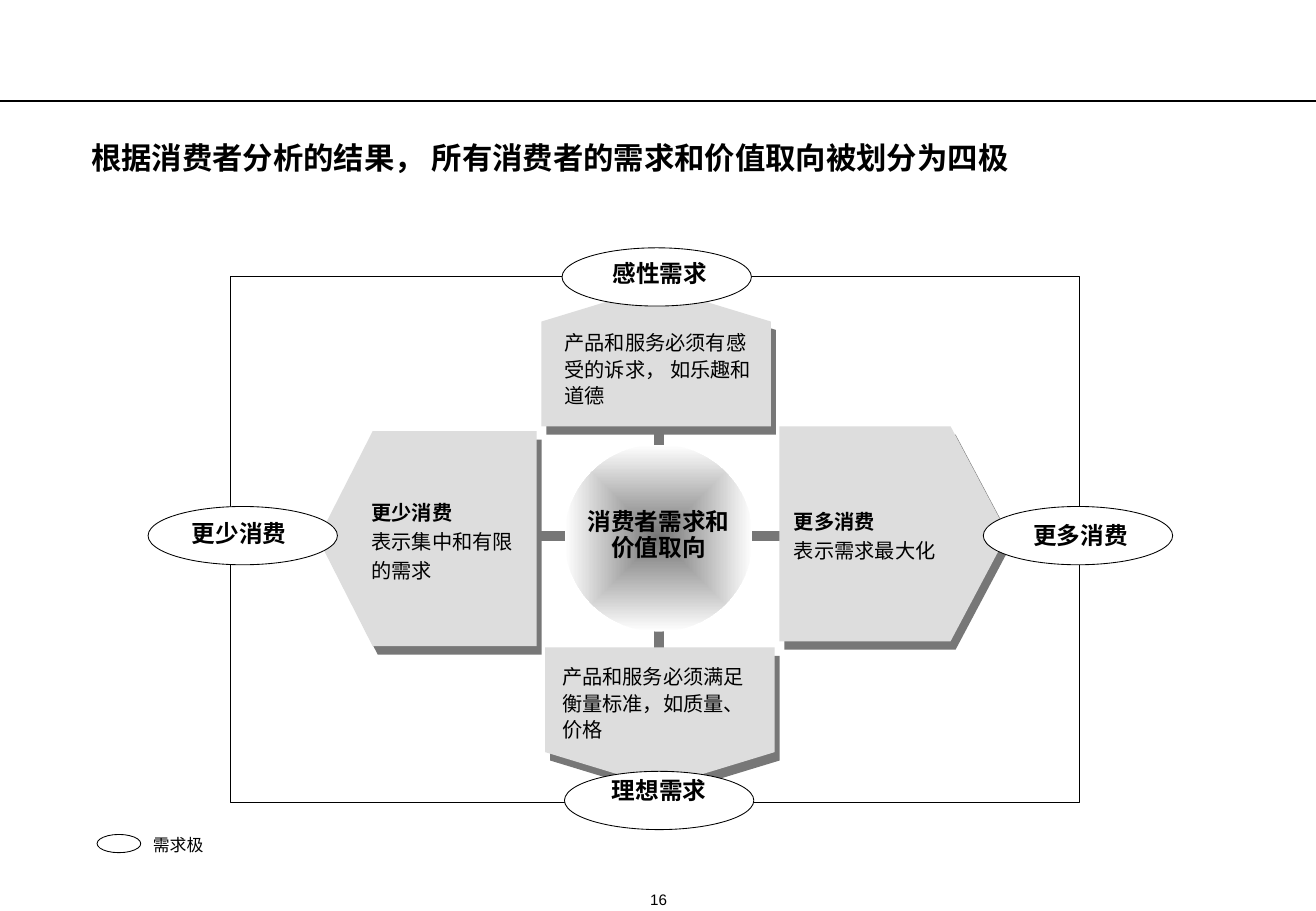
from lxml import etree
from pptx import Presentation
from pptx.dml.color import RGBColor
from pptx.enum import shapes, text
from pptx.oxml import ns
from pptx.util import Inches, Pt

BLACK = RGBColor(0x00, 0x00, 0x00)
WHITE = RGBColor(0xFF, 0xFF, 0xFF)
ARROW_GREY = RGBColor(0xDD, 0xDD, 0xDD)
SHADOW_GREY = RGBColor(0x77, 0x77, 0x77)
HUB_GREY = RGBColor(0x75, 0x75, 0x75)

OVAL_SIZE = (1.56, 0.48)

# Unit outline of an arrow pointing right, and how each direction turns it
ARROW_OUTLINE = [(0, 0), (0.75, 0), (1, 0.5), (0.75, 1), (0, 1)]
TURNS = {
    "right": lambda along, across: (along, across),
    "left": lambda along, across: (1 - along, across),
    "down": lambda along, across: (across, along),
    "up": lambda along, across: (across, 1 - along),
}

# Arrow and oval places are on the slide; note is relative to its arrow,
# label is relative to its oval
POLES = [
    dict(direction="right", arrow=(6.42, 3.51, 1.88, 1.77), oval=(8.1, 4.17),
         note=(0.12, 0.64, 1.58, 0.48), note_lines=["更多消费", "表示需求最大化"],
         label=(0.41, 0.12, 0.78, 0.23), name="更多消费", label_spacing=None),
    dict(direction="up", arrow=(4.46, 2.36, 1.89, 1.15), oval=(4.63, 2.04),
         note=(0.19, 0.34, 1.55, 0.66),
         note_lines=["产品和服务必须有感受的诉求， 如乐趣和道德"],
         label=(0.36, 0.21, 0.89, 0.11), name="感性需求", label_spacing=Pt(8)),
    dict(direction="left", arrow=(2.62, 3.55, 1.8, 1.77), oval=(1.22, 4.17),
         note=(0.44, 0.53, 1.25, 0.72), note_lines=["更少消费", "表示集中和有限的需求"],
         label=(0.36, 0.22, 0.78, 0.11), name="更少消费", label_spacing=Pt(8)),
    dict(direction="down", arrow=(4.49, 5.33, 1.89, 1.15), oval=(4.65, 6.35),
         note=(0.14, 0.12, 1.62, 0.66),
         note_lines=["产品和服务必须满足衡量标准，如质量、价格"],
         label=(0.39, 0.15, 0.78, 0.13), name="理想需求", label_spacing=Pt(9)),
]


def add_text(slide, box, lines, size=12, bold_lines=0, align=text.PP_ALIGN.LEFT,
             spacing=None, wrap=False, anchor=text.MSO_ANCHOR.TOP):
    frame = slide.shapes.add_textbox(*map(Inches, box)).text_frame
    frame.margin_left = frame.margin_right = frame.margin_top = frame.margin_bottom = 0
    frame.word_wrap = wrap
    frame.vertical_anchor = anchor
    for index, line in enumerate(lines):
        paragraph = frame.add_paragraph() if index else frame.paragraphs[0]
        paragraph.alignment = align
        paragraph.line_spacing = spacing
        run = paragraph.add_run()
        run.text = line
        run.font.name = "Arial"
        run.font.size = Pt(size)
        run.font.bold = index < bold_lines
        run.font.color.rgb = BLACK


def add_outlined(slide, preset, box, fill=None):
    outlined = slide.shapes.add_shape(preset, *map(Inches, box))
    outlined.shadow.inherit = False
    if fill is None:
        outlined.fill.background()
    else:
        outlined.fill.solid()
        outlined.fill.fore_color.rgb = fill
    outlined.line.color.rgb = BLACK
    outlined.line.width = Pt(0.5)


def add_line(slide, start, end, color, width):
    line = slide.shapes.add_connector(
        shapes.MSO_CONNECTOR.STRAIGHT, *map(Inches, start + end))
    line.line.color.rgb = color
    line.line.width = Pt(width)
    etree.SubElement(line._element.spPr, ns.qn("a:effectLst"))


def add_arrow(slide, box, direction):
    left, top, width, height = box
    points = []
    for along, across in ARROW_OUTLINE:
        x, y = TURNS[direction](along, across)
        points.append((Inches(left + x * width), Inches(top + y * height)))
    builder = slide.shapes.build_freeform(*points[0])
    builder.add_line_segments(points[1:], close=True)
    arrow = builder.convert_to_shape()
    arrow.fill.solid()
    arrow.fill.fore_color.rgb = ARROW_GREY
    arrow.line.fill.background()
    # Hard shadow, down and to the right
    arrow.shadow.inherit = False
    effects = arrow._element.spPr.find(ns.qn("a:effectLst"))
    shadow = etree.SubElement(effects, ns.qn("a:outerShdw"), blurRad="0",
                              dist=str(Pt(5.8)), dir=str(59 * 60000),
                              algn="ctr", rotWithShape="0")
    etree.SubElement(shadow, ns.qn("a:srgbClr"), val=str(SHADOW_GREY))


def add_hub(slide, box):
    left, top, width, height = box
    hub = slide.shapes.add_shape(shapes.MSO_SHAPE.OVAL, *map(Inches, box))
    hub.shadow.inherit = False
    hub.line.fill.background()
    hub.fill.gradient()
    for stop, color in zip(hub.fill.gradient_stops, (HUB_GREY, WHITE)):
        stop.color.rgb = color
    # Gradient runs from the centre to the edges
    gradient = hub._element.spPr.find(ns.qn("a:gradFill"))
    gradient.remove(gradient.find(ns.qn("a:lin")))
    spread = etree.SubElement(gradient, ns.qn("a:path"), path="rect")
    etree.SubElement(spread, ns.qn("a:fillToRect"),
                     l="50000", t="50000", r="50000", b="50000")
    add_text(slide, (left + 0.19, top + 0.54, 1.17, 0.42), ["消费者需求和", "价值取向"],
             size=14, bold_lines=2, align=text.PP_ALIGN.CENTER, spacing=Pt(15))


def add_pole(slide, direction, arrow, oval, note, note_lines, label, name, label_spacing):
    add_arrow(slide, arrow, direction)
    has_heading = len(note_lines) > 1
    add_text(slide, (arrow[0] + note[0], arrow[1] + note[1]) + note[2:], note_lines,
             bold_lines=int(has_heading), spacing=1.2 if has_heading else 1.1, wrap=True)
    add_outlined(slide, shapes.MSO_SHAPE.OVAL, oval + OVAL_SIZE, WHITE)
    add_text(slide, (oval[0] + label[0], oval[1] + label[1]) + label[2:], [name],
             size=14, bold_lines=1, align=text.PP_ALIGN.CENTER, spacing=label_spacing)


def add_diagram(slide, box):
    left, top, width, height = box
    add_outlined(slide, shapes.MSO_SHAPE.RECTANGLE, box)
    # Axes behind the hub
    add_line(slide, (left + 3.53, top), (left + 3.53, top + 4.24), SHADOW_GREY, 6)
    add_line(slide, (left - 0.07, top + 2.13), (left + 7.18, top + 2.13), SHADOW_GREY, 6)
    add_hub(slide, (left + 2.75, top + 1.38, 1.55, 1.54))
    for pole in POLES:
        add_pole(slide, **pole)


def add_legend(slide, box):
    left, top, width, height = box
    add_outlined(slide, shapes.MSO_SHAPE.OVAL, (left, top, 0.36, 0.15), WHITE)
    add_text(slide, (left + 0.46, top, width - 0.46, height), ["需求极"], size=10)


def add_page_frame(slide, width):
    # Header rule, title and page number
    add_line(slide, (0, 0.83), (width, 0.83), BLACK, 1.5)
    add_text(slide, (0.75, 1.17, 9.87, 0.28),
             ["根据消费者分析的结果， 所有消费者的需求和价值取向被划分为四极"],
             size=18, bold_lines=1, spacing=Pt(20), wrap=True)
    add_text(slide, (5.14, 7.33, 0.57, 0.15), ["16"], size=9,
             align=text.PP_ALIGN.CENTER, anchor=text.MSO_ANCHOR.BOTTOM)


def main():
    deck = Presentation()
    deck.slide_width, deck.slide_height = Inches(10.84), Inches(7.5)
    slide = deck.slides.add_slide(deck.slide_layouts[6])
    add_page_frame(slide, 10.84)
    add_diagram(slide, (1.9, 2.28, 6.99, 4.33))
    add_legend(slide, (0.8, 6.87, 0.88, 0.17))
    deck.save("out.pptx")


if __name__ == "__main__":
    main()
